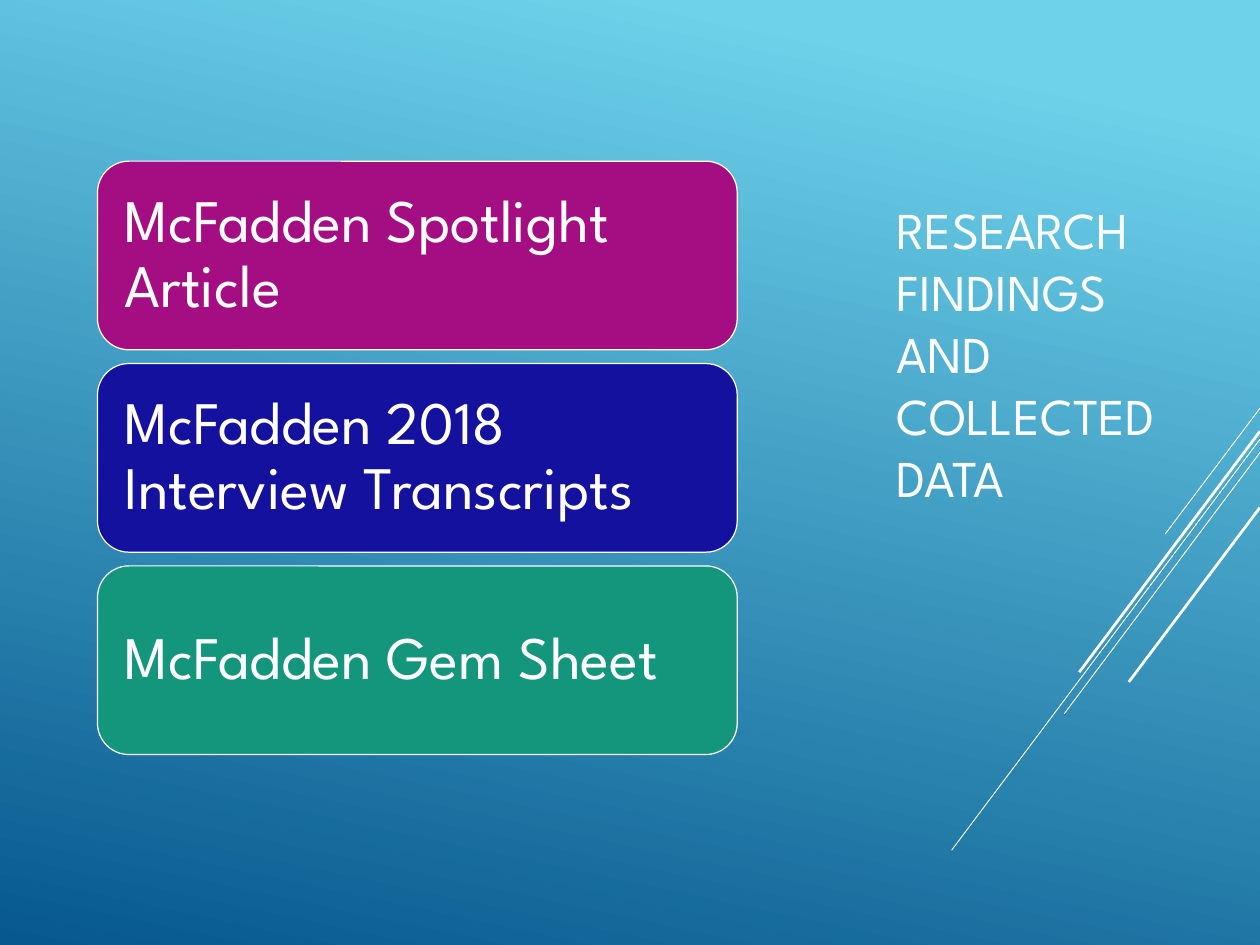
from dataclasses import dataclass

from lxml.etree import SubElement
from pptx import Presentation
from pptx.dml.color import RGBColor
from pptx.enum.shapes import MSO_CONNECTOR, MSO_SHAPE
from pptx.enum.text import MSO_ANCHOR, PP_ALIGN
from pptx.oxml.ns import qn
from pptx.util import Inches, Pt


@dataclass(frozen=True)
class Theme:
    font: str = "League Spartan"
    title_size: int = 42
    card_size: int = 49
    white: RGBColor = RGBColor.from_string("FFFFFF")
    sky: RGBColor = RGBColor.from_string("6ED2EB")
    deep: RGBColor = RGBColor.from_string("06588E")
    magenta: RGBColor = RGBColor.from_string("A50E82")
    navy: RGBColor = RGBColor.from_string("13119D")
    green: RGBColor = RGBColor.from_string("14967C")


theme = Theme()


def write_text(frame, text, size):
    frame.word_wrap = True
    frame.vertical_anchor = MSO_ANCHOR.MIDDLE
    paragraph = frame.paragraphs[0]
    paragraph.text = text
    paragraph.alignment = PP_ALIGN.LEFT
    paragraph.font.name = theme.font
    paragraph.font.size = Pt(size)
    paragraph.font.color.rgb = theme.white
    return paragraph


presentation = Presentation()
presentation.slide_width = Inches(14.22)
presentation.slide_height = Inches(10.67)
slide = presentation.slides.add_slide(presentation.slide_layouts[6])

# Background: sky blue at the top right, deep blue at the bottom left
backdrop = slide.background.fill
backdrop.gradient()
backdrop.gradient_angle = 258
for stop, position, color in zip(
    backdrop.gradient_stops, (0.1, 1), (theme.sky, theme.deep)
):
    stop.position = position
    stop.color.rgb = color

# Diagonal rays: start x, start y, end x, end y, weight
rays = [
    (14.22, 4.61, 13.15, 6.03, 0.75),
    (14.22, 4.96, 10.74, 9.6, 0.75),
    (14.22, 5.11, 12.01, 8.06, 0.75),
    (14.22, 4.87, 12.18, 7.59, 2.25),
    (14.22, 5.73, 12.74, 7.7, 2.25),
]
for *ends, weight in rays:
    ray = slide.shapes.add_connector(
        MSO_CONNECTOR.STRAIGHT, *(Inches(value) for value in ends)
    )
    ray.line.color.rgb = theme.white
    ray.line.width = Pt(weight)
    SubElement(ray._element.spPr, qn("a:effectLst"))

# Title
title = slide.shapes.add_textbox(
    Inches(10.02), Inches(1.46), Inches(3.55), Inches(5.05)
)
write_text(title.text_frame, "RESEARCH FINDINGS AND COLLECTED DATA", theme.title_size)

# Stacked source cards
sources = [
    ("McFadden Spotlight Article", theme.magenta),
    ("McFadden 2018 Interview Transcripts", theme.navy),
    ("McFadden Gem Sheet", theme.green),
]
card_top, card_pitch = 1.82, 2.285
for row, (source, color) in enumerate(sources):
    card = slide.shapes.add_shape(
        MSO_SHAPE.ROUNDED_RECTANGLE,
        Inches(1.1), Inches(card_top + row * card_pitch), Inches(7.22), Inches(2.13),
    )
    card.shadow.inherit = False
    card.fill.solid()
    card.fill.fore_color.rgb = color
    card.line.color.rgb = theme.white
    card.line.width = Pt(1)
    frame = card.text_frame
    frame.margin_left = frame.margin_right = Inches(0.2)
    frame.margin_top = frame.margin_bottom = Inches(0.2)
    write_text(frame, source, theme.card_size).line_spacing = 0.9

presentation.save("out.pptx")
